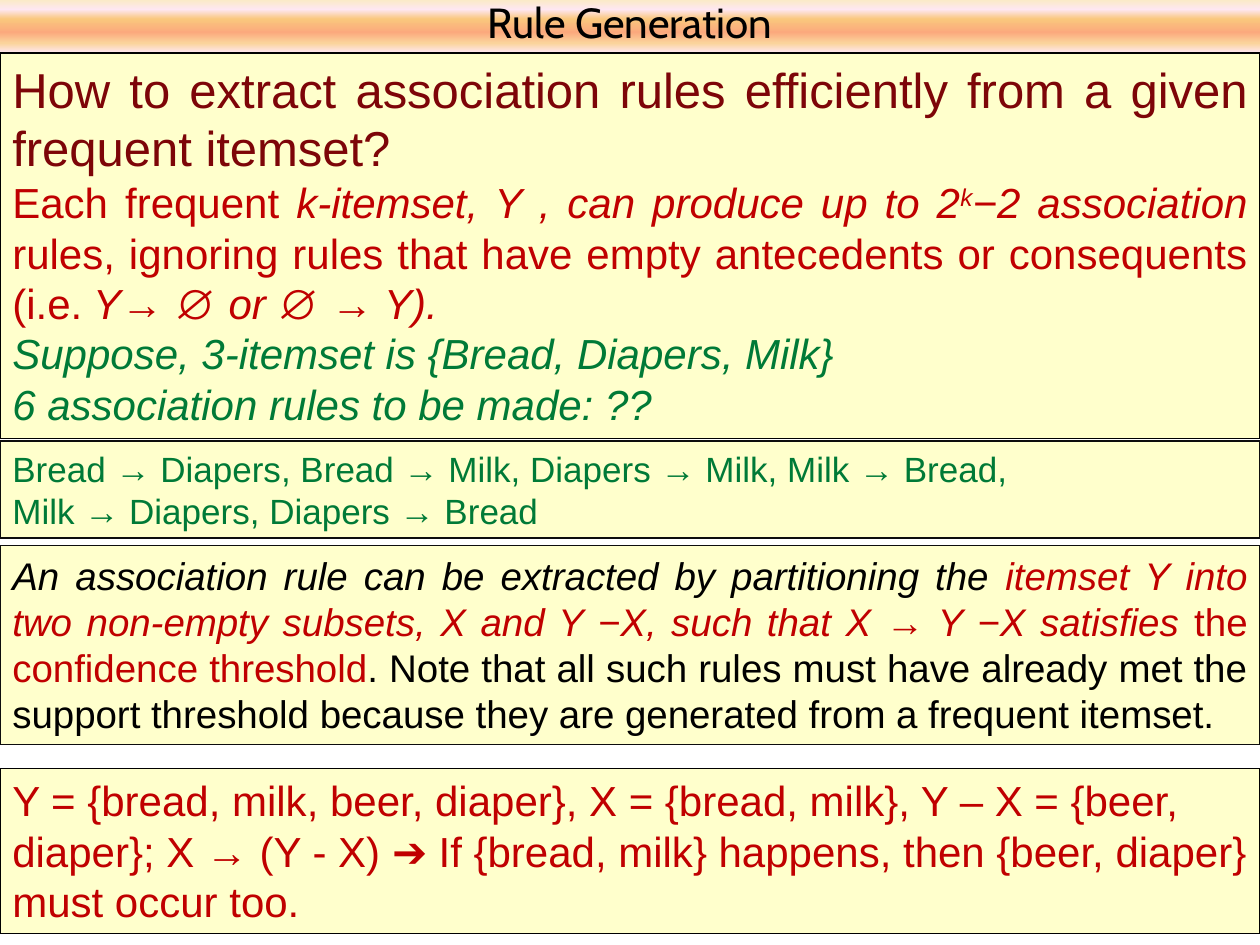
import pptx
import pptx.util
import pptx.dml.color
import pptx.enum.shapes
import pptx.enum.text
import pptx.oxml
import pptx.oxml.ns

Inches, Pt = pptx.util.Inches, pptx.util.Pt
ALIGN = pptx.enum.text.PP_ALIGN
ANCHOR = pptx.enum.text.MSO_ANCHOR

COLORS = {
    "panel": "FFFFCC", "black": "000000", "edge": "0D0D0D",
    "maroon": "7D0508", "red": "C00000", "green": "007A37",
}
TITLE = "Rule Generation"
TITLE_HEIGHT = 0.42
TITLE_GRADIENT = [(0, "FBEAC7"), (18, "FEE7F2"), (36, "FAC77D"),
                  (61, "FBA97D"), (82, "FBD49C"), (100, "FEE7F2")]

# Panel: top, height, edge colour, alignment, paragraphs.
# Paragraph: size, runs. Run: text, colour, style ("i" italic, "^" superscript).
PANELS = [
    (0.42, 3.06, "black", ALIGN.JUSTIFY, [
        (28, [("How to extract association rules efficiently from a given "
               "frequent itemset?", "maroon", "")]),
        (24, [("Each frequent ", "red", ""),
              ("k-itemset, Y , can produce up to 2", "red", "i"),
              ("k", "red", "i^"),
              ("−2 association ", "red", "i"),
              ("rules, ignoring rules that have empty antecedents or "
               "consequents (i.e.", "red", ""),
              (" Y→ ∅ or ∅ → Y). ", "red", "i")]),
        (24, [("Suppose, 3-itemset is {Bread, Diapers, Milk}", "green", "i")]),
        (24, [("6 association rules to be made: ??", "green", "i")]),
    ]),
    (3.5, 0.77, "edge", ALIGN.LEFT, [
        (20, [("Bread → Diapers, Bread → Milk, Diapers → Milk, Milk → Bread,\v"
               "Milk → Diapers, Diapers → Bread", "green", "")]),
    ]),
    (4.33, 1.58, "edge", ALIGN.JUSTIFY, [
        (22, [("An association rule can be extracted by partitioning the ",
               "black", "i"),
              ("itemset Y into two non-empty subsets, X and Y −X, such that "
               "X → Y −X satisfies ", "red", "i"),
              ("the confidence threshold", "red", ""),
              (". Note that all such rules must have already met the support "
               "threshold because they are generated from a frequent itemset.",
               "black", "")]),
    ]),
    (6.1, 1.31, "black", ALIGN.LEFT, [
        (24, [("Y = {bread, milk, beer, diaper}, X = {bread, milk}, "
               "Y – X = {beer, diaper}; X → (Y - X) ➔ If {bread, milk} "
               "happens, then {beer, diaper} must occur too.", "red", "")]),
    ]),
]


def rgb(name):
    return pptx.dml.color.RGBColor.from_string(COLORS[name])


def add_band(slide, top, height, anchor):
    """Add a full-width rectangle with wrapped text."""
    band = slide.shapes.add_shape(
        pptx.enum.shapes.MSO_SHAPE.RECTANGLE,
        0, Inches(top), Inches(10), Inches(height))
    band.shadow.inherit = False
    band.text_frame.word_wrap = True
    band.text_frame.vertical_anchor = anchor
    return band


def fill_gradient(shape, stops):
    """Fill from top to bottom with any number of stops."""
    shape.fill.gradient()
    gradient = shape.fill._xPr.find(pptx.oxml.ns.qn("a:gradFill"))
    stop_xml = "".join(
        f'<a:gs pos="{position * 1000}"><a:srgbClr val="{color}"/></a:gs>'
        for position, color in stops)
    gradient.getparent().replace(gradient, pptx.oxml.parse_xml(
        f'<a:gradFill {pptx.oxml.ns.nsdecls("a")} rotWithShape="1">'
        f'<a:gsLst>{stop_xml}</a:gsLst>'
        '<a:lin ang="5400000" scaled="0"/></a:gradFill>'))


def add_title(slide):
    title = add_band(slide, 0, TITLE_HEIGHT, ANCHOR.BOTTOM)
    fill_gradient(title, TITLE_GRADIENT)
    title.line.fill.background()
    heading = title.text_frame.paragraphs[0]
    heading.text = TITLE
    heading.alignment = ALIGN.CENTER
    heading.line_spacing = Pt(36)
    heading.font.name, heading.font.size = "Cabin", Pt(24)
    heading.font.color.rgb = rgb("black")


def add_panel(slide, top, height, edge, alignment, paragraphs):
    panel = add_band(slide, top, height, ANCHOR.TOP)
    panel.fill.solid()
    panel.fill.fore_color.rgb = rgb("panel")
    panel.line.color.rgb = rgb(edge)
    panel.line.width = Pt(0.75)
    frame = panel.text_frame
    frame.auto_size = pptx.enum.text.MSO_AUTO_SIZE.SHAPE_TO_FIT_TEXT
    for index, (size, runs) in enumerate(paragraphs):
        paragraph = frame.add_paragraph() if index else frame.paragraphs[0]
        paragraph.alignment = alignment
        paragraph.font.name, paragraph.font.size = "Arial", Pt(size)
        for text, color, style in runs:
            for line_number, line in enumerate(text.split("\v")):
                if line_number:
                    paragraph.add_line_break()
                run = paragraph.add_run()
                run.text = line
                run.font.color.rgb = rgb(color)
                run.font.italic = "i" in style
                if "^" in style:
                    run._r.get_or_add_rPr().set("baseline", "30000")


def main():
    deck = pptx.Presentation()
    deck.slide_width, deck.slide_height = Inches(10), Inches(7.5)
    slide = deck.slides.add_slide(deck.slide_layouts[6])
    add_title(slide)
    for panel in PANELS:
        add_panel(slide, *panel)
    deck.save("out.pptx")


if __name__ == "__main__":
    main()
